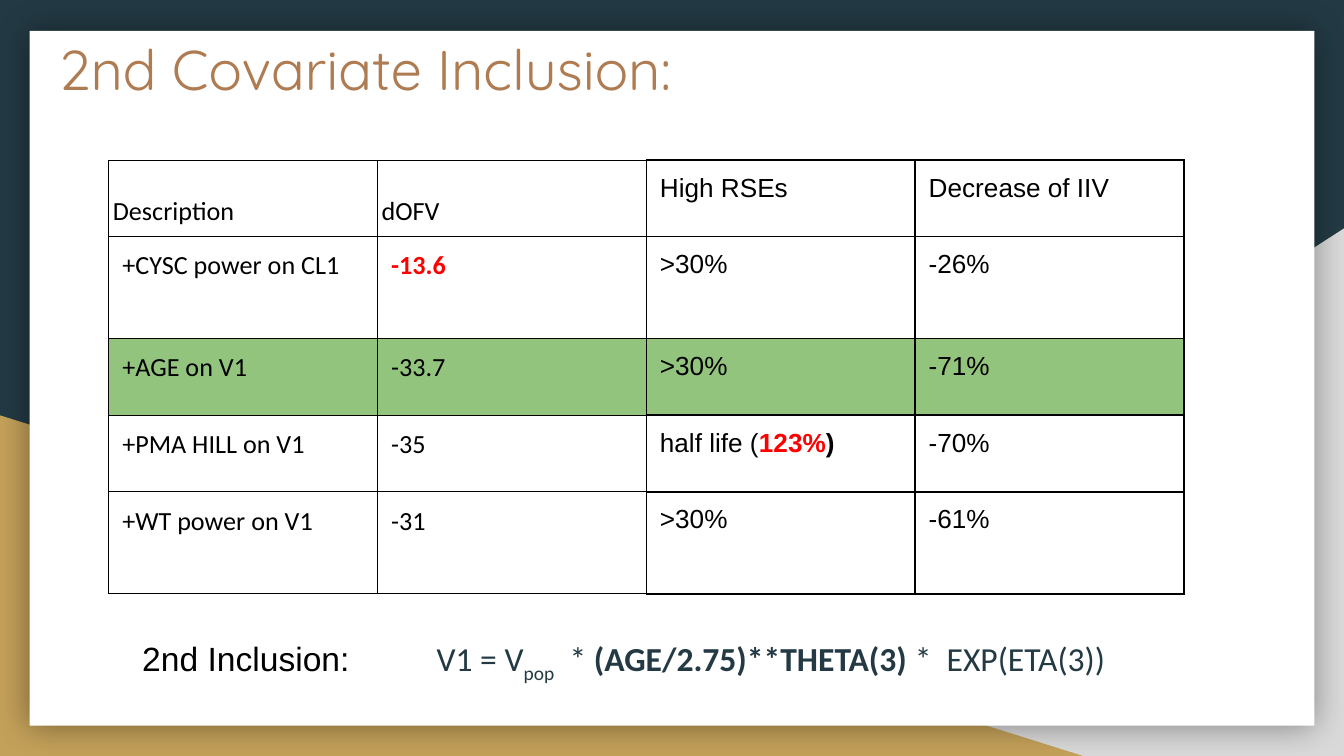
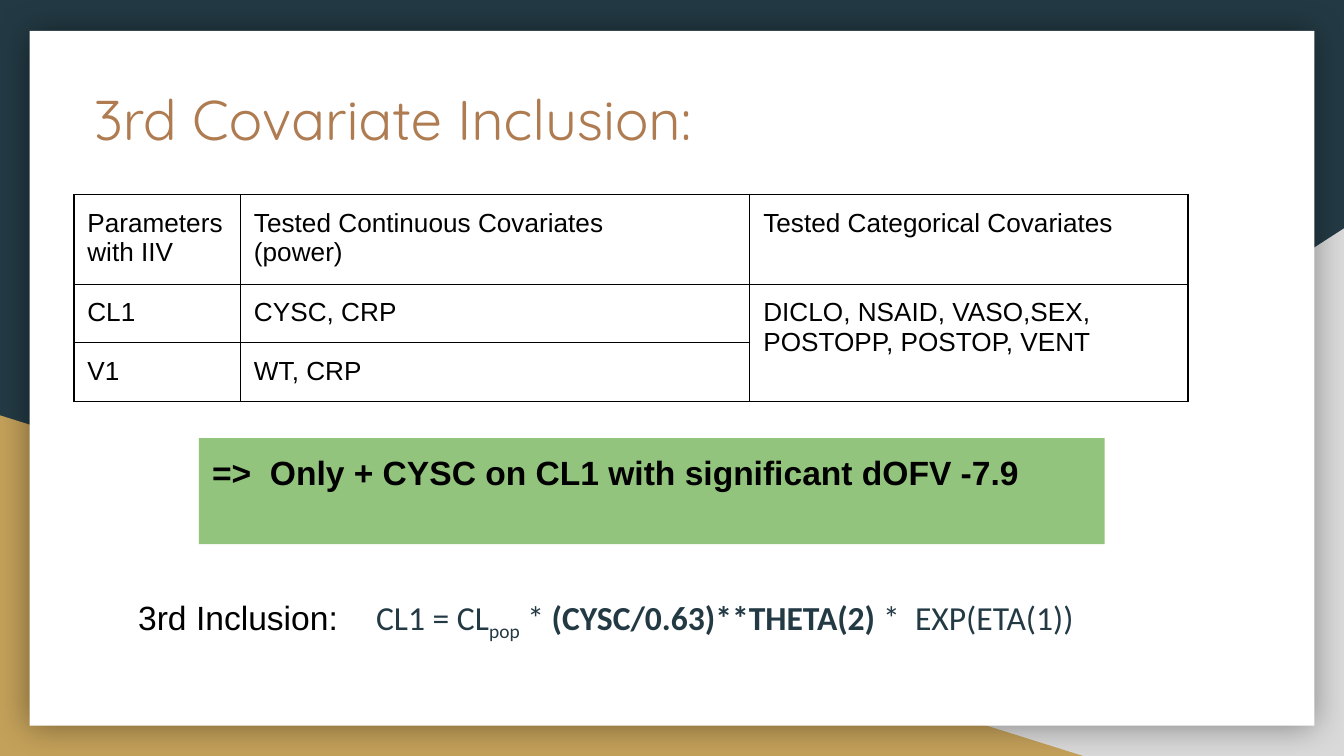
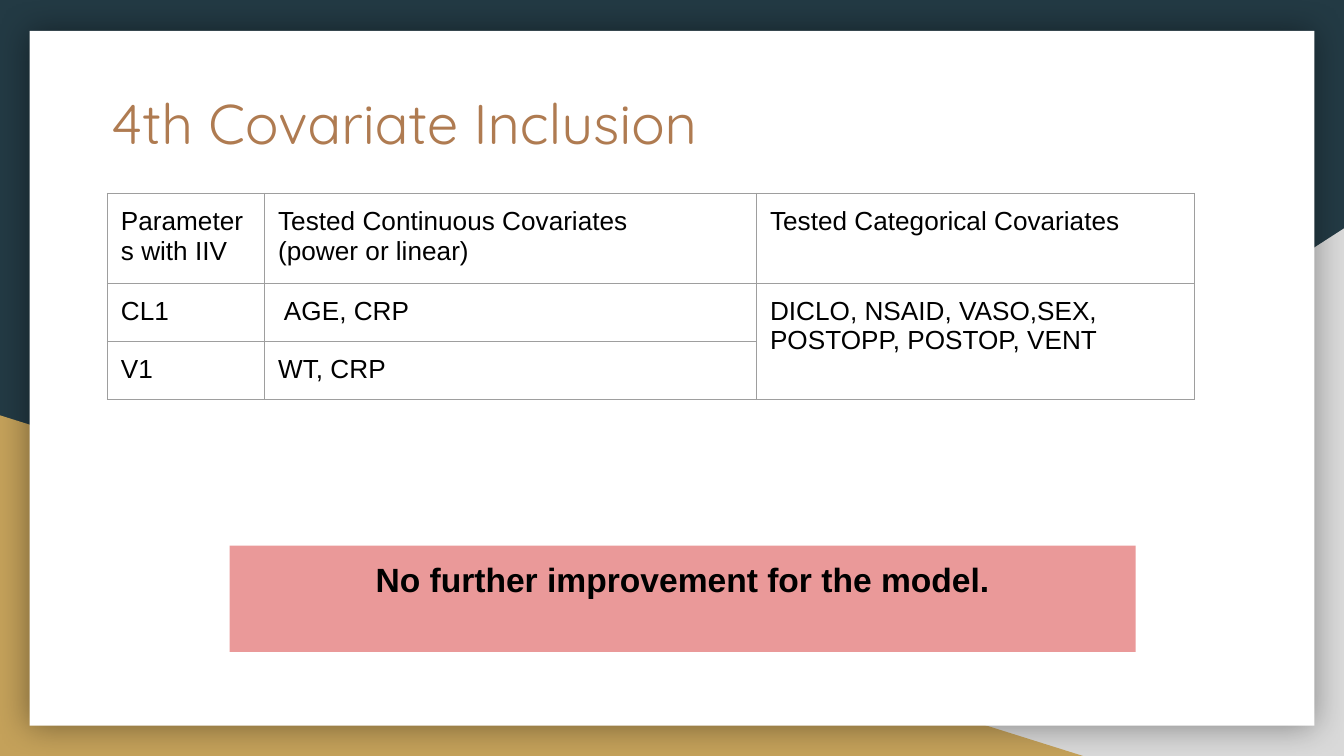
from dataclasses import dataclass

from lxml.etree import SubElement
from pptx import Presentation
from pptx.dml.color import RGBColor
from pptx.enum.shapes import MSO_SHAPE as Shape
from pptx.enum.text import MSO_ANCHOR as Anchor, PP_ALIGN as Align
from pptx.oxml.ns import qn
from pptx.util import Inches, Pt

COLORS = {
    "night": "233A44",
    "gray": "D9D9D9",
    "gold": "C4A15A",
    "white": "FFFFFF",
    "copper": "AF7B51",
    "black": "000000",
    "red": "FF0000",
    "green": "93C47D",
    "pink": "EA9999",
    "rule": "9E9E9E",
}
FORMATS = {
    "title": dict(name="Quicksand", size=Pt(30), bold=False),
    "cell": dict(name="Arial", size=Pt(14), bold=False),
    "cell strong": dict(name="Arial", size=Pt(14), bold=True),
    "model": dict(name="Calibri", size=Pt(14), bold=False),
    "model strong": dict(name="Calibri", size=Pt(14), bold=True),
    "label": dict(name="Arial", size=Pt(18), bold=False),
    "banner": dict(name="Arial", size=Pt(18), bold=True),
    "formula": dict(name="Calibri", size=Pt(18), bold=False),
    "formula strong": dict(name="Calibri", size=Pt(18), bold=True),
}
COLUMNS, ROWS = 100, 56.25
STEP = Inches(10) / COLUMNS
INSET = 1


def steps(count):
    return round(count * STEP)


def rgb(name):
    return RGBColor.from_string(COLORS[name])


@dataclass
class Box:
    left: float
    top: float
    width: float
    height: float

    def region(self, left, top, width, height):
        return Box(self.left + left, self.top + top, width, height)

    def frame(self):
        return [steps(value) for value in (self.left, self.top, self.width, self.height)]


PAGE = Box(0, 0, COLUMNS, ROWS)
CARD = PAGE.region(2.2, 2.3, 95.6, 51.7)


def add_span(para, text, style, color="black", baseline=0):
    span = para.add_run()
    span.text = text
    for key, value in FORMATS[style].items():
        setattr(span.font, key, value)
    span.font.color.rgb = rgb(color)
    if baseline:
        span._r.get_or_add_rPr().set("baseline", str(baseline * 1000))


def set_insets(target, side=INSET, end=INSET):
    insets = dict(margin_left=side, margin_right=side, margin_top=end, margin_bottom=end)
    for key, value in insets.items():
        setattr(target, key, steps(value))


def prepare_text(shape):
    text = shape.text_frame
    text.word_wrap = True
    text.vertical_anchor = Anchor.TOP
    set_insets(text)
    return text.paragraphs[0]


def add_filled(page, kind, box, color):
    shape = page.shapes.add_shape(kind, *box.frame())
    shape.shadow.inherit = False
    shape.fill.solid()
    shape.fill.fore_color.rgb = rgb(color)
    shape.line.fill.background()
    return shape


def add_backdrop(page, box):
    page.background.fill.solid()
    page.background.fill.fore_color.rgb = rgb("night")
    triangle = Shape.RIGHT_TRIANGLE
    right = add_filled(page, triangle, box.region(39.2, 17, 60.8, 39.25), "gray")
    right._element.spPr.find(qn("a:xfrm")).set("flipH", "1")
    add_filled(page, triangle, box.region(0, 30.9, 80.6, 25.35), "gold")
    card = add_filled(page, Shape.RECTANGLE, CARD, "white")
    effects = card._element.spPr.find(qn("a:effectLst"))
    shadow = SubElement(effects, qn("a:outerShdw"), blurRad=str(Pt(18)), dist="0",
                        dir="0", algn="ctr", rotWithShape="0")
    tint = SubElement(shadow, qn("a:srgbClr"), val=COLORS["black"])
    SubElement(tint, qn("a:alpha"), val="40000")


def add_title(page, box, text):
    shape = page.shapes.add_textbox(*box.frame())
    add_span(prepare_text(shape), text, "title", "copper")


def add_banner(page, box, text, color, align=Align.LEFT):
    para = prepare_text(add_filled(page, Shape.RECTANGLE, box, color))
    para.alignment = align
    add_span(para, text, "banner")


def add_formula(page, box, label, tab, spans):
    para = prepare_text(page.shapes.add_textbox(*box.frame()))
    stops = SubElement(para._p.get_or_add_pPr(), qn("a:tabLst"))
    SubElement(stops, qn("a:tab"), pos=str(steps(tab)), algn="l")
    add_span(para, label + "\t", "label")
    for text, style, baseline in spans:
        add_span(para, text, style, "night", baseline)


def set_borders(cell, color, widths):
    properties = cell._tc.get_or_add_tcPr()
    for index, (side, width) in enumerate(zip("LRTB", widths)):
        line = SubElement(properties, qn(f"a:ln{side}"), w=str(Pt(width)))
        fill = SubElement(line, qn("a:solidFill"))
        SubElement(fill, qn("a:srgbClr"), val=COLORS[color])
        properties.insert(index, line)


def add_grid(page, box, widths, heights):
    frame = page.shapes.add_table(len(heights), len(widths), *box.frame())
    table = frame.table
    for flag in ("first_row", "horz_banding"):
        setattr(table, flag, False)
    for column, width in zip(table.columns, widths):
        column.width = steps(width)
    for row, height in zip(table.rows, heights):
        row.height = steps(height)
    return table


def style_cell(cell, fill, color, widths):
    set_insets(cell)
    if fill:
        cell.fill.solid()
        cell.fill.fore_color.rgb = rgb(fill)
    else:
        cell.fill.background()
    set_borders(cell, color, widths)


def add_results(page, box, rows, heights, chosen):
    table = add_grid(page, box, [box.width / 4] * 4, heights)
    for r, row in enumerate(rows):
        for c, content in enumerate(row):
            cell = table.cell(r, c)
            is_model = c < 2
            edges = [0.5] * 4 if is_model else [0.5 if c == 2 else 1, 1, 1, 1]
            style_cell(cell, "green" if r == chosen else None, "black", edges)
            para = cell.text_frame.paragraphs[0]
            if is_model:
                para.alignment = Align.JUSTIFY
            if is_model and r == 0:
                cell.vertical_anchor = Anchor.BOTTOM
                para.line_spacing = 1.15
                set_insets(cell, 0.3, 0.7)
            spans = [(content,)] if isinstance(content, str) else content
            for text, *look in spans:
                add_span(para, text, *(look or ["model" if is_model else "cell"]))


def add_covariates(page, box, widths, heights, rows, color):
    table = add_grid(page, box, widths, heights)
    for r, row in enumerate(rows):
        for c, lines in enumerate(row):
            cell = table.cell(r, c)
            style_cell(cell, None, color, [0.75] * 4)
            text = cell.text_frame
            for index, line in enumerate(lines):
                para = text.add_paragraph() if index else text.paragraphs[0]
                add_span(para, line, "cell")
    table.cell(1, 2).merge(table.cell(2, 2))


def covariate_rows(method, clearance):
    return [
        [["Parameters with IIV"], ["Tested Continuous Covariates", method],
         ["Tested Categorical Covariates"]],
        [["CL1"], [clearance], ["DICLO, NSAID, VASO,SEX, POSTOPP, POSTOP, VENT"]],
        [["V1"], ["WT, CRP"], []],
    ]


def formula_spans(start, gap, factor, end):
    return [
        (start, "formula", 0),
        ("pop", "formula", -25),
        (gap, "formula", 0),
        (factor + " ", "formula strong", 0),
        (end, "formula", 0),
    ]


def second_inclusion(page, box):
    add_title(page, box.region(1.2, -0.7, 93.2, 6.3), "2nd Covariate Inclusion:")
    rows = [
        ["Description", "dOFV", "High RSEs", "Decrease of IIV"],
        ["+CYSC power on CL1", [("-13.6", "model strong", "red")], ">30%", "-26%"],
        ["+AGE on V1", "-33.7", ">30%", "-71%"],
        ["+PMA HILL on V1", "-35",
         [("half life (",), ("123%", "cell strong", "red"), (")", "cell strong")], "-70%"],
        ["+WT power on V1", "-31", ">30%", "-61%"],
    ]
    heights = [5.7, 7.6, 5.7, 5.7, 7.6]
    add_results(page, box.region(5.9, 9.6, 80, sum(heights)), rows, heights, chosen=2)
    add_formula(page, box.region(7.4, 44.2, 87.1, 7.1), "2nd Inclusion:", 21.9,
                formula_spans("V1 = V", "  * ", "(AGE/2.75)**THETA(3)", "*  EXP(ETA(3))"))


def third_inclusion(page, box):
    add_title(page, box.region(3.8, 3, 92, 6.3), "3rd Covariate Inclusion:")
    widths, heights = [12.4, 37.9, 32.6], [6.4, 4.2, 4.3]
    add_covariates(page, box.region(3.3, 12.2, sum(widths), sum(heights)), widths, heights,
                   covariate_rows("(power)", "CYSC, CRP"), "black")
    add_banner(page, box.region(12.6, 30.3, 67.4, 7.9),
               "=>  Only + CYSC on CL1 with significant dOFV -7.9", "green")
    add_formula(page, box.region(7.1, 41.1, 78.3, 7.1), "3rd Inclusion:", 17.7,
                formula_spans("CL1 = CL", " * ", "(CYSC/0.63)**THETA(2)", "*  EXP(ETA(1))"))


def fourth_inclusion(page, box):
    add_title(page, box.region(5.1, 3.3, 92, 6.3), "4th Covariate Inclusion")
    widths, heights = [11.7, 36.6, 32.6], [6.3, 4.3, 4.3]
    add_covariates(page, box.region(5.8, 12.1, sum(widths), sum(heights)), widths, heights,
                   covariate_rows("(power or linear)", " AGE, CRP"), "rule")
    add_banner(page, box.region(14.9, 38.3, 67.4, 7.9),
               "No further improvement for the model.", "pink", Align.CENTER)


def main():
    deck = Presentation()
    deck.slide_width, deck.slide_height = steps(COLUMNS), steps(ROWS)
    for build in (second_inclusion, third_inclusion, fourth_inclusion):
        page = deck.slides.add_slide(deck.slide_layouts[6])
        add_backdrop(page, PAGE)
        build(page, CARD)
    deck.save("out.pptx")


if __name__ == "__main__":
    main()
